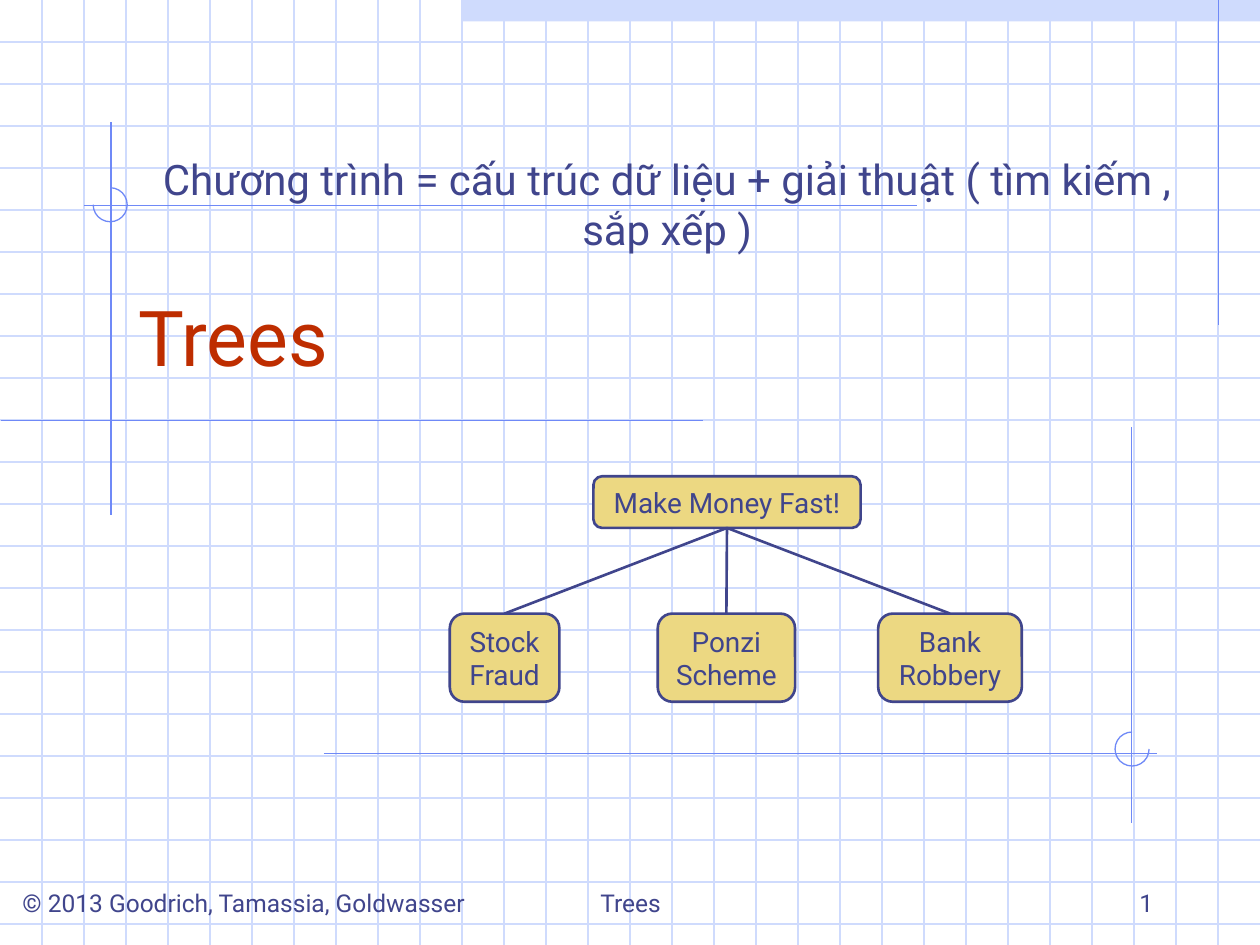
from dataclasses import dataclass

from lxml.etree import SubElement
from pptx import Presentation
from pptx.dml.color import RGBColor
from pptx.enum.shapes import MSO_CONNECTOR as Connector, MSO_SHAPE as Preset
from pptx.enum.text import MSO_ANCHOR as Anchor, PP_ALIGN as Align
from pptx.oxml.ns import qn
from pptx.util import Inches, Pt

WIDTH, HEIGHT = 10, 7.5
BOTTOM, TOP = 2, 0  # connection sites of a rectangle


@dataclass(frozen=True)
class Theme:
    font: str = "Roboto"
    grid: str = "CFDBFD"
    guide: str = "6F89F7"
    ink: str = "40458C"
    title: str = "BE2D00"
    node: str = "ECD882"
    title_size: float = 44
    heading_size: float = 24
    node_size: float = 16
    footer_size: float = 14
    thin: float = 0.75
    thick: float = 1.5


class SlideBuilder:
    def __init__(self, slide, theme):
        self.slide = slide
        self.theme = theme

    def set_text(self, text_frame, text, size, color, align, anchor):
        text_frame.vertical_anchor = anchor
        paragraph = text_frame.paragraphs[0]
        paragraph.text = text
        paragraph.alignment = align
        paragraph.font.name = self.theme.font
        paragraph.font.size = Pt(size)
        paragraph.font.color.rgb = RGBColor.from_string(color)

    def text(self, box, text, size, color, align=Align.LEFT, anchor=Anchor.BOTTOM):
        shape = self.slide.shapes.add_textbox(*map(Inches, box))
        shape.text_frame.word_wrap = True
        self.set_text(shape.text_frame, text, size, color, align, anchor)

    def shape(self, preset, box, fill=None, line=None, width=None):
        shape = self.slide.shapes.add_shape(preset, *map(Inches, box))
        shape.shadow.inherit = False
        if fill:
            shape.fill.solid()
            shape.fill.fore_color.rgb = RGBColor.from_string(fill)
        else:
            shape.fill.background()
        if line:
            shape.line.color.rgb = RGBColor.from_string(line)
            shape.line.width = Pt(width)
        else:
            shape.line.fill.background()
        return shape

    def node(self, box, text):
        theme = self.theme
        shape = self.shape(Preset.ROUNDED_RECTANGLE, box, theme.node, theme.ink, theme.thick)
        shape.text_frame.word_wrap = False
        self.set_text(shape.text_frame, text, theme.node_size, theme.ink,
                      Align.CENTER, Anchor.MIDDLE)
        return shape

    def line(self, start, end, color, width):
        connector = self.slide.shapes.add_connector(
            Connector.STRAIGHT, *map(Inches, (*start, *end)))
        connector.line.color.rgb = RGBColor.from_string(color)
        connector.line.width = Pt(width)
        SubElement(connector._element.spPr, qn("a:effectLst"))
        return connector

    def branch(self, parent, child):
        connector = self.line((0, 0), (1, 1), self.theme.ink, self.theme.thick)
        connector.begin_connect(parent, BOTTOM)
        connector.end_connect(child, TOP)

    def arc(self, box, start_angle, end_angle):
        shape = self.shape(Preset.ARC, box, line=self.theme.guide, width=self.theme.thin)
        for index, angle in enumerate((start_angle, end_angle)):
            shape.adjustments[index] = angle * 0.6  # 60000ths of a degree over 100000


def main():
    presentation = Presentation()
    presentation.slide_width = Inches(WIDTH)
    presentation.slide_height = Inches(HEIGHT)
    theme = Theme()
    builder = SlideBuilder(
        presentation.slides.add_slide(presentation.slide_layouts[6]), theme)

    # Top band and squared paper, three squares to the inch
    builder.shape(Preset.RECTANGLE, (3.67, 0, 6.33, 0.17), theme.grid)
    for row in range(1, 23):
        builder.line((0, row / 3), (WIDTH, row / 3), theme.grid, theme.thin)
    for column in range(1, 30):
        builder.line((column / 3, 0), (column / 3, HEIGHT), theme.grid, theme.thin)

    # Guide lines and their compass arcs
    guides = [
        ((9.67, 0), (9.67, 2.58)),
        ((0.88, 0.97), (0.88, 4.09)),
        ((0.01, 3.34), (5.58, 3.34)),
        ((0.67, 1.63), (7.28, 1.63)),
        ((2.57, 5.98), (9.18, 5.98)),
        ((8.98, 3.39), (8.98, 6.53)),
    ]
    for start, end in guides:
        builder.line(start, end, theme.guide, theme.thin)
    builder.arc((0.74, 1.49, 0.27, 0.27), 270, 180)
    builder.arc((8.85, 5.81, 0.27, 0.27), 0, 270)

    # Title and heading
    builder.text((1, 1.83, 8.5, 1.25), "Trees", theme.title_size, theme.title)
    builder.text((1.17, 1.17, 8.25, 0.9),
                 "Chương trình = cấu trúc dữ liệu + giải thuật ( tìm kiếm , sắp xếp )",
                 theme.heading_size, theme.ink, Align.CENTER, Anchor.TOP)

    # Tree
    root = builder.node((4.71, 3.78, 2.12, 0.41), "Make Money Fast!")
    leaves = [
        (3.57, 0.87, "Stock\nFraud"),
        (5.22, 1.09, "Ponzi\nScheme"),
        (6.97, 1.14, "Bank\nRobbery"),
    ]
    for left, width, label in leaves:
        builder.branch(root, builder.node((left, 4.87, width, 0.7), label))

    # Footer
    footers = [
        (0.08, 3.92, "© 2013 Goodrich, Tamassia, Goldwasser", Align.LEFT),
        (3.42, 3.17, "Trees", Align.CENTER),
        (7.17, 2.08, "1", Align.RIGHT),
    ]
    for left, width, text, align in footers:
        builder.text((left, 6.83, width, 0.5), text, theme.footer_size, theme.ink, align)

    presentation.save("out.pptx")


if __name__ == "__main__":
    main()
